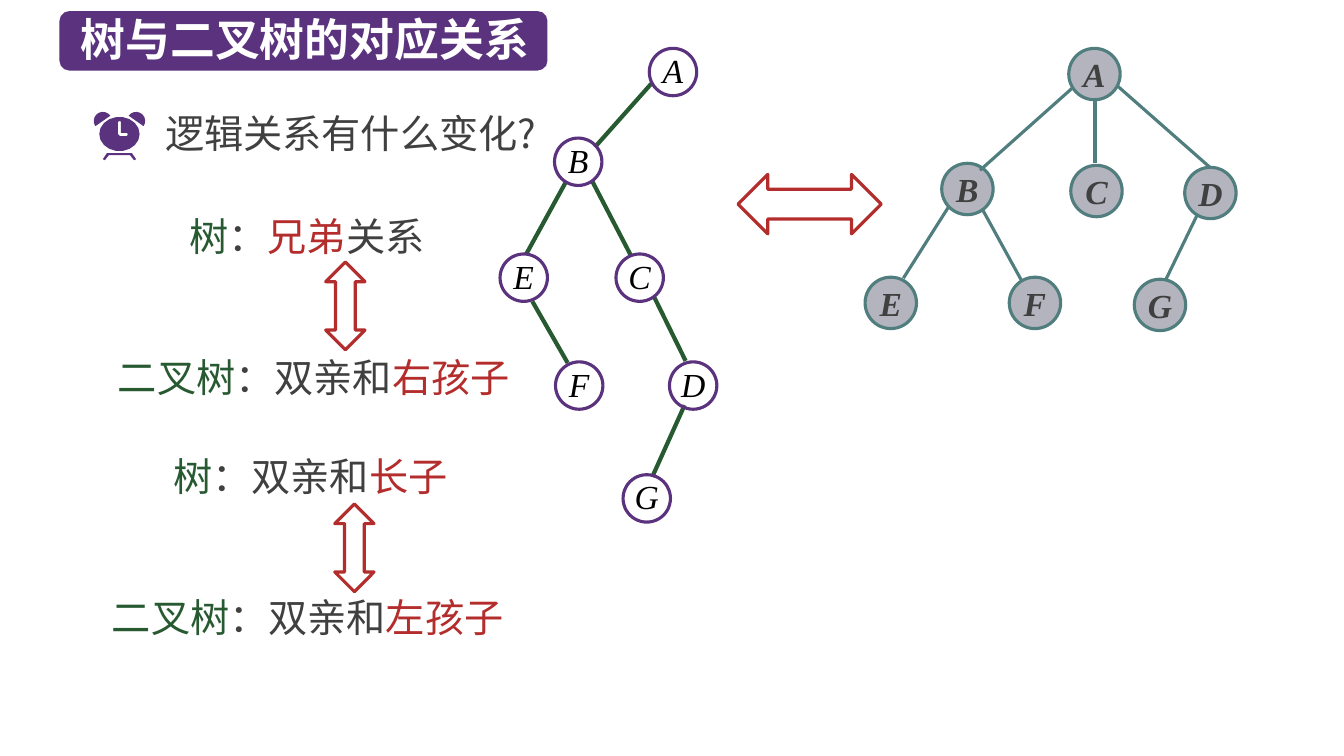
from dataclasses import dataclass
from math import cos, radians, sin

from lxml.etree import SubElement
from pptx import Presentation
from pptx.dml.color import RGBColor
from pptx.enum.shapes import MSO_CONNECTOR as Connector, MSO_SHAPE as Shape
from pptx.enum.text import MSO_ANCHOR as Anchor, MSO_AUTO_SIZE as AutoSize, PP_ALIGN as Align
from pptx.oxml.ns import qn
from pptx.util import Inches, Pt

Point = tuple[float, float]
Box = tuple[float, float, float, float]


@dataclass(frozen=True)
class Theme:
    purple: str = "5A327D"
    green: str = "285A32"
    red: str = "B42D2D"
    teal: str = "507D7D"
    silver: str = "B4B4BE"
    gray: str = "404040"
    black: str = "000000"
    white: str = "FFFFFF"
    title_size: float = 32
    body_size: float = 28
    node_size: float = 24
    outline: float = 2.25
    body_font: str = "Noto Sans CJK SC"
    node_font: str = "Times New Roman"


THEME = Theme()


@dataclass(frozen=True)
class Tree:
    diameter: float
    nodes: dict[str, Point]
    edges: list[tuple[Point, Point]]
    node_fill: str | None
    node_line: str
    edge_color: str
    edge_width: float
    text_color: str
    bold: bool
    line_spacing: float
    insets: Box
    edges_in_front: bool


@dataclass(frozen=True)
class Relation:
    box: Box
    indent: float
    tree_runs: list[tuple[str, str]]
    binary_runs: list[tuple[str, str]]
    arrow: Box


BINARY_TREE = Tree(
    0.47,
    {"A": (6.44, 0.48), "B": (5.5, 1.37), "E": (4.96, 2.52), "C": (6.11, 2.52),
     "F": (5.51, 3.59), "D": (6.64, 3.59), "G": (6.18, 4.71)},
    [((6.46, 0.83), (5.9, 1.46)), ((5.61, 1.81), (5.22, 2.52)),
     ((5.28, 2.99), (5.63, 3.6)), ((6.79, 4.02), (6.47, 4.73)),
     ((6.49, 2.95), (6.8, 3.58)), ((6.26, 2.54), (5.87, 1.79))],
    None, THEME.purple, THEME.green, 3, THEME.black, False, 25, (0, 0, 0, 0), False)

GENERAL_TREE = Tree(
    0.51,
    {"A": (10.6, 0.48), "B": (9.34, 1.62), "C": (10.62, 1.64), "D": (11.75, 1.66),
     "E": (8.58, 2.75), "F": (10.01, 2.75), "G": (11.25, 2.77)},
    [((9.74, 2.07), (10.13, 2.78)), ((9.41, 2.05), (8.96, 2.76)),
     ((11.88, 2.12), (11.56, 2.78)), ((10.64, 0.87), (9.72, 1.69)),
     ((10.86, 0.97), (10.86, 1.62)), ((12, 1.66), (11.08, 0.85))],
    THEME.silver, THEME.teal, THEME.teal, THEME.outline, THEME.gray, True, 26,
    (0.04, 0.02, 0.04, 0.04), True)

RELATIONS = [
    Relation((1.17, 2.06, 4.31, 1.99), 0.71,
             [("树", THEME.green), ("：", THEME.gray), ("兄弟", THEME.red), ("关系", THEME.gray)],
             [("二叉树", THEME.green), ("：双亲和", THEME.gray), ("右孩子", THEME.red)],
             (2.99, 2.84, 0.87, 0.39)),
    Relation((1.11, 4.44, 5.43, 1.99), 0.61,
             [("树", THEME.green), ("：双亲和", THEME.gray), ("长子", THEME.red)],
             [("二叉树", THEME.green), ("：双亲和", THEME.gray), ("左孩子", THEME.red)],
             (3.08, 5.24, 0.87, 0.39)),
]


def set_values(target, **values) -> None:
    for name, value in values.items():
        setattr(target, name, value)


def style(shape, fill: str | None, line: str | None = None) -> None:
    shape.shadow.inherit = False
    if fill:
        shape.fill.solid()
        shape.fill.fore_color.rgb = RGBColor.from_string(fill)
    else:
        shape.fill.background()
    if line:
        shape.line.color.rgb = RGBColor.from_string(line)
        shape.line.width = Pt(THEME.outline)
    else:
        shape.line.fill.background()


def add_preset(slide, kind, box: Box, fill: str | None, line: str | None = None):
    shape = slide.shapes.add_shape(kind, *map(Inches, box))
    style(shape, fill, line)
    return shape


def set_frame(frame, insets: Box, wrap: bool) -> None:
    left, top, right, bottom = map(Inches, insets)
    set_values(frame, margin_left=left, margin_top=top, margin_right=right, margin_bottom=bottom,
               word_wrap=wrap, vertical_anchor=Anchor.TOP, auto_size=AutoSize.NONE)


def add_run(paragraph, text: str, color: str, size: float, font: str = THEME.body_font,
            bold: bool = False, italic: bool = False) -> None:
    run = paragraph.add_run()
    run.text = text
    set_values(run.font, name=font, size=Pt(size), bold=bold, italic=italic)
    run.font.color.rgb = RGBColor.from_string(color)
    SubElement(run.font._element, qn("a:ea")).set("typeface", font)


def add_title(slide, text: str) -> None:
    title = slide.shapes.title
    set_values(title, left=Inches(0.7), top=Inches(0.07), width=Inches(5.17), height=Inches(0.64))
    set_frame(title.text_frame, (0.1, 0.05, 0.1, 0.05), True)
    paragraph = title.text_frame.paragraphs[0]
    paragraph.alignment = Align.LEFT
    add_run(paragraph, text, THEME.white, THEME.title_size, bold=True)
    banner = add_preset(slide, Shape.ROUNDED_RECTANGLE, (0.59, 0.11, 4.84, 0.59), THEME.purple)
    title.element.addprevious(banner.element)


def add_text_box(slide, box: Box, insets: Box):
    frame = slide.shapes.add_textbox(*map(Inches, box)).text_frame
    set_frame(frame, insets, True)
    return frame


def add_relation(slide, relation: Relation) -> None:
    frame = add_text_box(slide, relation.box, (0, 0.05, 0, 0.05))
    first, second = frame.paragraphs[0], frame.add_paragraph()
    first._p.get_or_add_pPr().set("marL", str(Inches(relation.indent)))
    second.space_before = Pt(67)
    for paragraph, runs in ((first, relation.tree_runs), (second, relation.binary_runs)):
        for text, color in runs:
            add_run(paragraph, text, color, THEME.body_size)
    arrow = add_preset(slide, Shape.LEFT_RIGHT_ARROW, relation.arrow, None, THEME.red)
    arrow.rotation = 90


def add_outline(slide, *contours: list[Point]) -> None:
    builder = None
    for contour in contours:
        start, *rest = [(Inches(x), Inches(y)) for x, y in contour]
        if builder is None:
            builder = slide.shapes.build_freeform(*start)
        else:
            builder.move_to(*start)
        builder.add_line_segments(rest, close=True)
    style(builder.convert_to_shape(), THEME.purple)


def arc(center: Point, radii: Point, start: int, end: int) -> list[Point]:
    return [(center[0] + radii[0] * cos(radians(angle)), center[1] + radii[1] * sin(radians(angle)))
            for angle in range(start, end + 1, 20)]


def add_alarm_clock(slide) -> None:
    middle = 1.185

    def mirror(points: list[Point]) -> list[Point]:
        return [(2 * middle - x, y) for x, y in points]

    half_stand = [(1.06, 1.52), (1.02, 1.58), (1.04, 1.59), (1.08, 1.54)]
    add_outline(slide, half_stand + mirror(half_stand)[::-1])
    ear = arc((1.02, 1.2), (0.09, 0.09), 145, 325)
    for points in (ear, mirror(ear)):
        add_outline(slide, points)
    hands = [(1.17, 1.21), (1.19, 1.2), (1.2, 1.21), (1.2, 1.32), (1.26, 1.32),
             (1.27, 1.33), (1.26, 1.35), (1.19, 1.35), (1.17, 1.33)]
    add_outline(slide, arc((middle, 1.33), (0.2, 0.17), 0, 340), hands[::-1])


def add_edges(slide, tree: Tree) -> None:
    for start, end in tree.edges:
        edge = slide.shapes.add_connector(Connector.STRAIGHT, *map(Inches, start + end))
        edge.line.color.rgb = RGBColor.from_string(tree.edge_color)
        edge.line.width = Pt(tree.edge_width)
        SubElement(edge.element.spPr, qn("a:effectLst"))


def add_nodes(slide, tree: Tree) -> None:
    for letter, position in tree.nodes.items():
        box = (*position, tree.diameter, tree.diameter)
        node = add_preset(slide, Shape.OVAL, box, tree.node_fill, tree.node_line)
        set_frame(node.text_frame, tree.insets, False)
        paragraph = node.text_frame.paragraphs[0]
        set_values(paragraph, alignment=Align.CENTER, line_spacing=Pt(tree.line_spacing))
        add_run(paragraph, letter, tree.text_color, THEME.node_size, THEME.node_font, tree.bold, True)


def add_tree(slide, tree: Tree) -> None:
    steps = (add_nodes, add_edges) if tree.edges_in_front else (add_edges, add_nodes)
    for step in steps:
        step(slide, tree)


def main() -> None:
    presentation = Presentation()
    set_values(presentation, slide_width=Inches(13.33), slide_height=Inches(7.5))
    slide = presentation.slides.add_slide(presentation.slide_layouts[5])
    add_title(slide, "树与二叉树的对应关系")
    question = add_text_box(slide, (1.54, 1.04, 9.76, 0.57), (0.1, 0.05, 0.1, 0.05))
    add_run(question.paragraphs[0], "逻辑关系有什么变化?", THEME.gray, THEME.body_size)
    add_alarm_clock(slide)
    for relation in RELATIONS:
        add_relation(slide, relation)
    add_tree(slide, GENERAL_TREE)
    add_tree(slide, BINARY_TREE)
    add_preset(slide, Shape.LEFT_RIGHT_ARROW, (7.32, 1.73, 1.42, 0.59), None, THEME.red)
    presentation.save("out.pptx")


if __name__ == "__main__":
    main()
